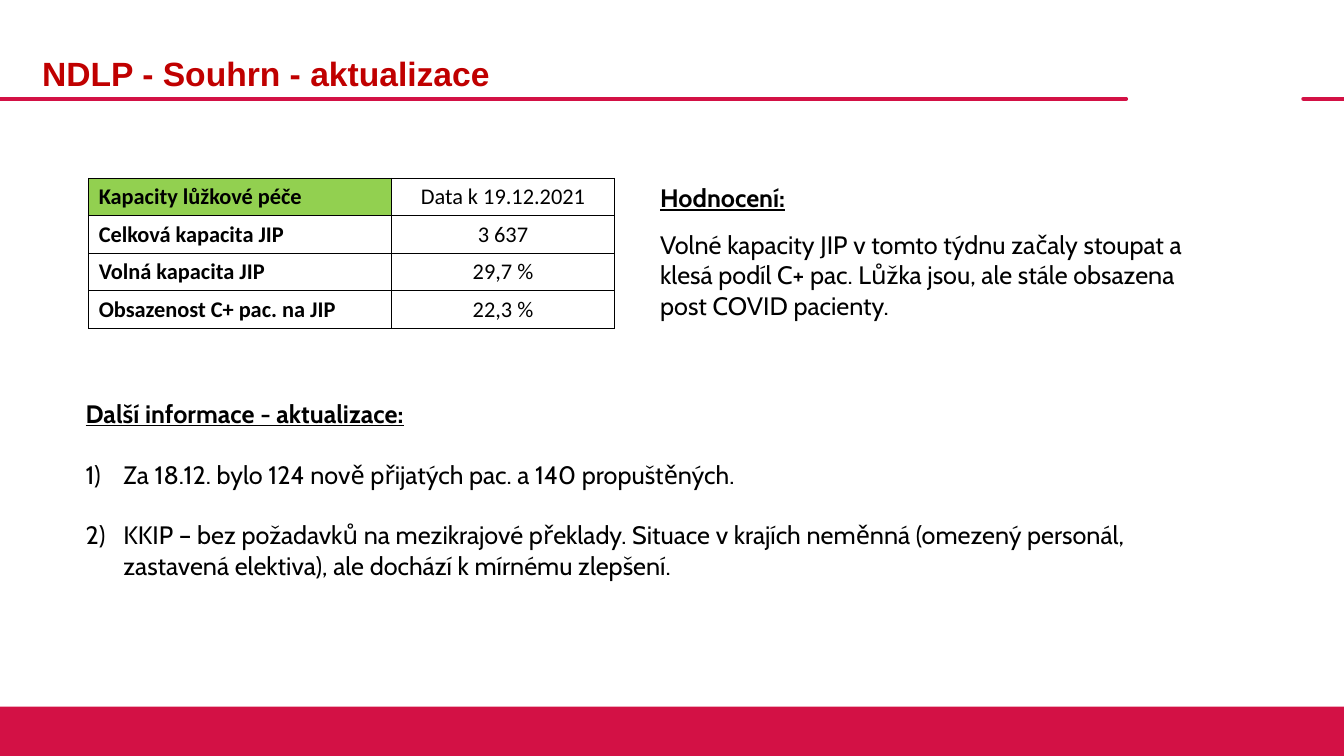
"""Build the slide that sums up intensive care bed capacity."""
from dataclasses import dataclass

from lxml import etree
from pptx import Presentation
from pptx import util as u
from pptx.dml.color import RGBColor
from pptx.enum import shapes, text
from pptx.oxml.ns import qn

COLOURS = {"band": "D31145", "title": "C00000", "text": "000000", "head": "92D050", "cell": "FFFFFF"}
WIDTH, HEIGHT = u.Inches(13.33), u.Inches(7.5)
RULE_TOP = 13.07
BAND_TOP = 93.47
INDENT = 2.81
TABLE_LEFT, TABLE_TOP, ROW_HEIGHT = 6.6, 23.6, 4.95
COLUMN_WIDTHS = (22.5, 16.65)
CAPACITIES = (
    ("Kapacity lůžkové péče", "Data k 19.12.2021"),
    ("Celková kapacita JIP", "3 637"),
    ("Volná kapacita JIP", "29,7 %"),
    ("Obsazenost C+ pac. na JIP", "22,3 %"),
)


@dataclass(frozen=True)
class Line:
    """One paragraph and its format."""
    words: str
    size: float = 18
    font: str = "Cabin"
    colour: str = "text"
    bold: bool = False
    underline: bool = False
    numbered: bool = False
    before: float = 0
    after: float = 0
    spacing: float = 1.0


@dataclass(frozen=True)
class Box:
    """A text box placed in percent of the slide's size."""
    left: float
    top: float
    width: float
    height: float
    lines: tuple[Line, ...]
    middle: bool = False


@dataclass(frozen=True)
class Rule:
    """A horizontal rule between two percentages of the slide's width."""
    start: float
    end: float


RULES = (Rule(0, 83.78), Rule(96.98, 100))
BOXES = (
    Box(2.4, 3.47, 81.08, 13.07, (
        Line("NDLP - Souhrn - aktualizace", size=24, font="Arial", colour="title", bold=True, spacing=0.9),
    ), middle=True),
    Box(5.63, 52, 86.7, 29.6, (
        Line("Další informace - aktualizace:", bold=True, underline=True),
        Line("Za 18.12. bylo 124 nově přijatých pac. a 140 propuštěných.", numbered=True, before=21.8),
        Line("KKIP – bez požadavků na mezikrajové překlady. Situace v krajích neměnná (omezený personál, "
             "zastavená elektiva), ale dochází k mírnému zlepšení.", numbered=True, before=21.8),
    )),
    Box(48.38, 23.47, 43.13, 19.73, (
        Line("Hodnocení:", bold=True, underline=True, after=12),
        Line("Volné kapacity JIP v tomto týdnu začaly stoupat a klesá podíl C+ pac. "
             "Lůžka jsou, ale stále obsazena post COVID pacienty."),
    )),
)


def across(percent: float) -> int:
    """Turn a percentage of the slide's width into a length."""
    return round(WIDTH * percent / 100)


def down(percent: float) -> int:
    """Turn a percentage of the slide's height into a length."""
    return round(HEIGHT * percent / 100)


def rgb(name: str) -> RGBColor:
    """Look up a named colour."""
    return RGBColor.from_string(COLOURS[name])


def write(paragraph, words: str, *, size: float, font: str, colour: str = "text",
          bold: bool = False, underline: bool = False, align=text.PP_ALIGN.LEFT) -> None:
    """Put formatted text in a paragraph."""
    paragraph.alignment = align
    run = paragraph.add_run()
    run.text = words
    run.font.size, run.font.name = u.Pt(size), font
    run.font.bold, run.font.underline = bold, underline
    run.font.color.rgb = rgb(colour)


def number(paragraph) -> None:
    """Give a paragraph a hanging automatic number."""
    properties = paragraph._p.get_or_add_pPr()
    properties.set("marL", str(across(INDENT)))
    properties.set("indent", str(-across(INDENT)))
    etree.SubElement(properties, qn("a:buFont"), typeface="+mj-lt")
    etree.SubElement(properties, qn("a:buAutoNum"), type="arabicParenR")


def draw_rule(slide, rule: Rule) -> None:
    """Draw a round-ended rule under the title."""
    connector = slide.shapes.add_connector(
        shapes.MSO_CONNECTOR.STRAIGHT, across(rule.start), down(RULE_TOP), across(rule.end), down(RULE_TOP))
    connector.line.color.rgb = rgb("band")
    connector.line.width = u.Pt(3)
    connector.line._get_or_add_ln().set("cap", "rnd")
    etree.SubElement(connector._element.spPr, qn("a:effectLst"))


def draw_band(slide) -> None:
    """Draw the band along the bottom."""
    band = slide.shapes.add_shape(
        shapes.MSO_SHAPE.RECTANGLE, 0, down(BAND_TOP), WIDTH, HEIGHT - down(BAND_TOP))
    band.shadow.inherit = False
    band.fill.solid()
    band.fill.fore_color.rgb = rgb("band")
    band.line.fill.background()


def draw_box(slide, box: Box) -> None:
    """Draw a text box with its paragraphs."""
    shape = slide.shapes.add_textbox(across(box.left), down(box.top), across(box.width), down(box.height))
    frame = shape.text_frame
    frame.word_wrap = True
    frame.auto_size = text.MSO_AUTO_SIZE.NONE if box.middle else text.MSO_AUTO_SIZE.SHAPE_TO_FIT_TEXT
    frame.vertical_anchor = text.MSO_ANCHOR.MIDDLE if box.middle else text.MSO_ANCHOR.TOP
    for index, line in enumerate(box.lines):
        paragraph = frame.add_paragraph() if index else frame.paragraphs[0]
        if line.numbered:
            number(paragraph)
        paragraph.line_spacing = line.spacing
        paragraph.space_before, paragraph.space_after = u.Pt(line.before), u.Pt(line.after)
        write(paragraph, line.words, size=line.size, font=line.font, colour=line.colour,
              bold=line.bold, underline=line.underline)


def border(cell) -> None:
    """Outline a table cell on all four sides."""
    properties = cell._tc.get_or_add_tcPr()
    for index, side in enumerate(("a:lnL", "a:lnR", "a:lnT", "a:lnB")):
        edge = etree.Element(qn(side), w=str(u.Pt(0.75)))
        fill = etree.SubElement(edge, qn("a:solidFill"))
        etree.SubElement(fill, qn("a:srgbClr"), val=COLOURS["text"])
        properties.insert(index, edge)


def draw_table(slide) -> None:
    """Draw the table of bed capacities."""
    frame = slide.shapes.add_table(
        len(CAPACITIES), len(COLUMN_WIDTHS), across(TABLE_LEFT), down(TABLE_TOP),
        across(sum(COLUMN_WIDTHS)), down(ROW_HEIGHT * len(CAPACITIES)))
    table = frame.table
    table.first_row = table.horz_banding = False
    for column, width in zip(table.columns, COLUMN_WIDTHS):
        column.width = across(width)
    for row_index, values in enumerate(CAPACITIES):
        table.rows[row_index].height = down(ROW_HEIGHT)
        for column_index, value in enumerate(values):
            cell = table.cell(row_index, column_index)
            label = column_index == 0
            cell.fill.solid()
            cell.fill.fore_color.rgb = rgb("head" if label and row_index == 0 else "cell")
            cell.vertical_anchor = text.MSO_ANCHOR.TOP if label else text.MSO_ANCHOR.MIDDLE
            border(cell)
            write(cell.text_frame.paragraphs[0], value, size=16, font="Calibri", bold=label,
                  align=text.PP_ALIGN.LEFT if label else text.PP_ALIGN.CENTER)


def main() -> None:
    """Build and save the presentation."""
    presentation = Presentation()
    presentation.slide_width, presentation.slide_height = WIDTH, HEIGHT
    slide = presentation.slides.add_slide(presentation.slide_layouts[6])
    for rule in RULES:
        draw_rule(slide, rule)
    draw_band(slide)
    draw_table(slide)
    for box in BOXES:
        draw_box(slide, box)
    presentation.save("out.pptx")


if __name__ == "__main__":
    main()
